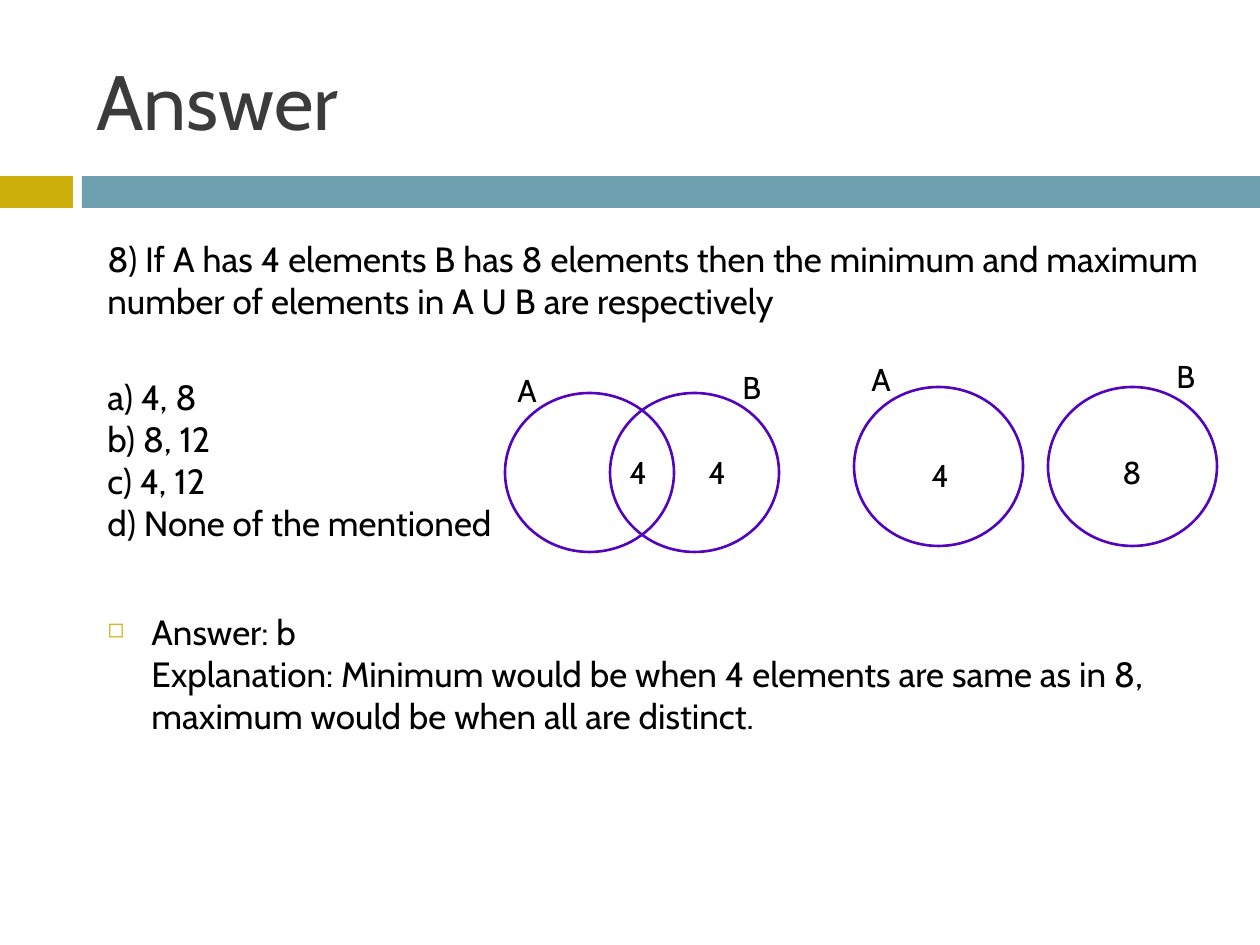
from dataclasses import dataclass

from lxml.etree import SubElement
from pptx import Presentation
from pptx.dml.color import RGBColor as RGB
from pptx.enum.shapes import MSO_SHAPE as Kind
from pptx.enum.text import MSO_ANCHOR as Anchor
from pptx.oxml.ns import qn
from pptx.util import Emu, Pt

SCALE = 914400 / 126  # EMU in one px


@dataclass(frozen=True)
class Theme:
    font: str = "Cabin"
    gold: str = "CCAF0A"
    teal: str = "6EA0B0"
    ring: str = "5305BB"
    head: str = "3B3B3B"
    ink: str = "000000"
    title: int = 44
    body: int = 20
    label: int = 18


@dataclass(frozen=True)
class Box:
    x: int
    y: int
    w: int
    h: int


@dataclass(frozen=True)
class Bar:
    box: Box
    color: str


@dataclass(frozen=True)
class Label:
    text: str
    x: int
    y: int


@dataclass(frozen=True)
class Venn:
    top: int
    lefts: tuple[int, ...]
    labels: tuple[Label, ...]


@dataclass(frozen=True)
class Para:
    text: str
    gap: int  # space before, points
    bullet: bool = False


THEME = Theme()
RING_W, RING_H = 169, 159
LABEL_W, LABEL_H = 79, 50
INDENT = 44

BARS = (
    Bar(Box(0, 176, 73, 32), THEME.gold),
    Bar(Box(82, 176, 1178, 32), THEME.teal),
)
VENNS = (
    Venn(393, (505, 610), (
        Label("A", 505, 365), Label("B", 730, 362),
        Label("4", 617, 447), Label("4", 696, 447),
    )),
    Venn(387, (854, 1048), (
        Label("A", 859, 354), Label("B", 1164, 351),
        Label("4", 919, 450), Label("8", 1110, 447),
    )),
)
# \v is a line break inside a paragraph
PARAS = (
    Para("8) If A has 4 elements B has 8 elements then the minimum and "
         "maximum number of elements in A U B are respectively", 0),
    Para("a) 4, 8\vb) 8, 12\vc) 4, 12\vd) None of the mentioned", 31),
    Para("Answer: b\vExplanation: Minimum would be when 4 elements are same "
         "as in 8, maximum would be when all are distinct.", 38, True),
)


def px(n: int) -> Emu:
    return Emu(round(n * SCALE))


def place(box: Box) -> tuple[Emu, ...]:
    return px(box.x), px(box.y), px(box.w), px(box.h)


def style(para, size: int, color: str) -> None:
    for run in para.runs:
        run.font.name = THEME.font
        run.font.size = Pt(size)
        run.font.color.rgb = RGB.from_string(color)


def add_text(slide, text: str, box: Box, size: int, color: str):
    frame = slide.shapes.add_textbox(*place(box)).text_frame
    frame.word_wrap = True
    frame.text = text
    for para in frame.paragraphs:
        style(para, size, color)
    return frame


def add_bar(slide, bar: Bar) -> None:
    shape = slide.shapes.add_shape(Kind.RECTANGLE, *place(bar.box))
    shape.shadow.inherit = False
    shape.fill.solid()
    shape.fill.fore_color.rgb = RGB.from_string(bar.color)
    shape.line.fill.background()


def add_ring(slide, x: int, y: int) -> None:
    box = Box(x, y, RING_W, RING_H)
    shape = slide.shapes.add_shape(Kind.OVAL, *place(box))
    shape.shadow.inherit = False
    shape.fill.background()
    shape.line.color.rgb = RGB.from_string(THEME.ring)
    shape.line.width = Pt(1.5)


def add_venn(slide, venn: Venn) -> None:
    for x in venn.lefts:
        add_ring(slide, x, venn.top)
    for mark in venn.labels:
        box = Box(mark.x, mark.y, LABEL_W, LABEL_H)
        add_text(slide, mark.text, box, THEME.label, THEME.ink)


def add_bullet(para) -> None:
    props = para._p.get_or_add_pPr()
    props.set("marL", str(px(INDENT)))
    props.set("indent", str(-px(INDENT)))
    color = SubElement(props, qn("a:buClr"))
    SubElement(color, qn("a:srgbClr"), val=THEME.gold)
    SubElement(props, qn("a:buSzPct"), val="60000")
    SubElement(props, qn("a:buChar"), char="◻")


def add_body(slide, box: Box, items: tuple[Para, ...]) -> None:
    text = "\n".join(item.text for item in items)
    frame = add_text(slide, text, box, THEME.body, THEME.ink)
    for para, item in zip(frame.paragraphs, items):
        para.space_before = Pt(item.gap)
        if item.bullet:
            add_bullet(para)


def main() -> None:
    deck = Presentation()
    deck.slide_width, deck.slide_height = px(1260), px(945)
    slide = deck.slides.add_slide(deck.slide_layouts[6])

    # Header
    for bar in BARS:
        add_bar(slide, bar)
    title = add_text(slide, "Answer", Box(84, 32, 1124, 136),
                     THEME.title, THEME.head)
    title.vertical_anchor = Anchor.MIDDLE

    # Question, options and answer
    add_body(slide, Box(95, 231, 1124, 620), PARAS)

    # Venn diagrams
    for venn in VENNS:
        add_venn(slide, venn)

    deck.save("out.pptx")


if __name__ == "__main__":
    main()
